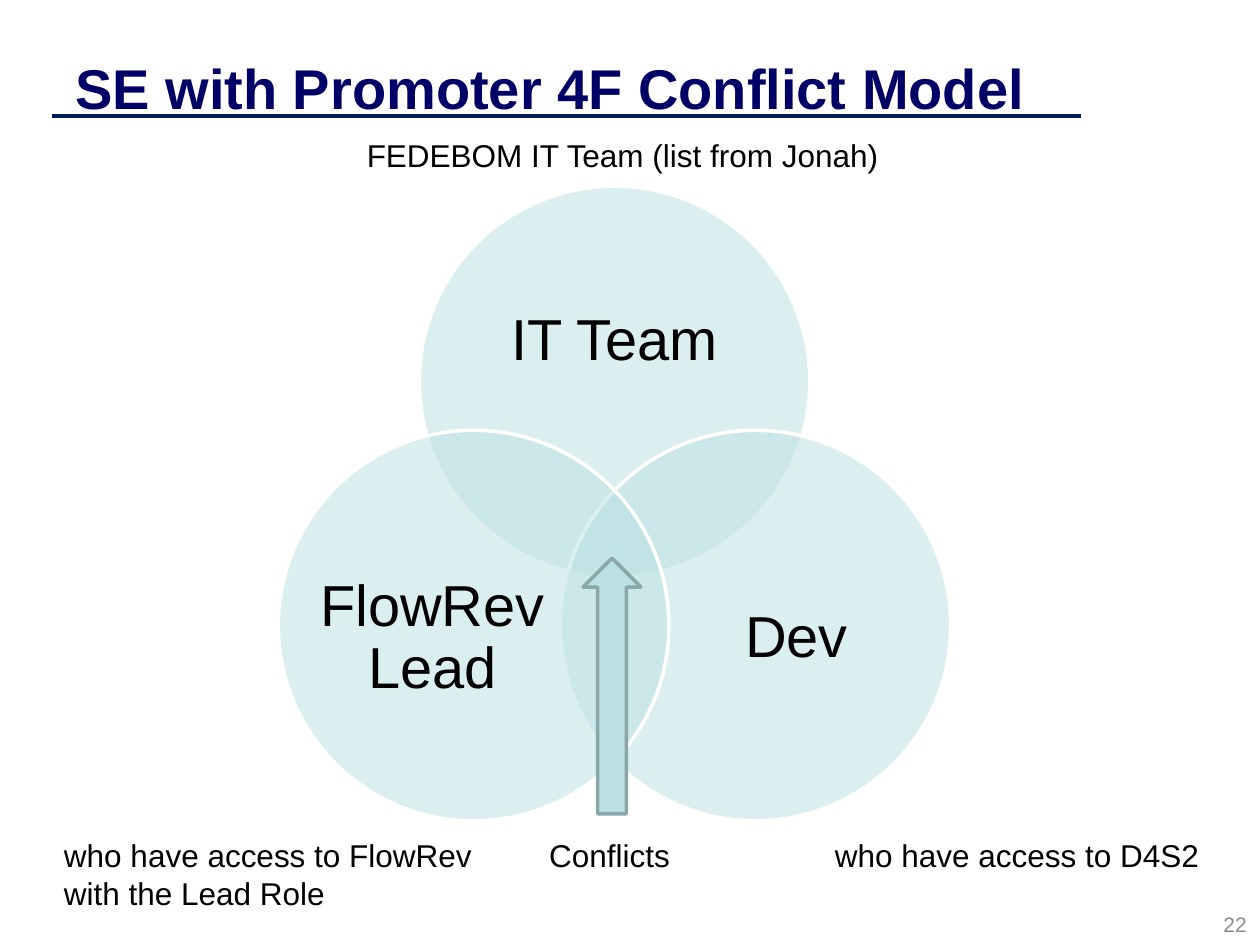
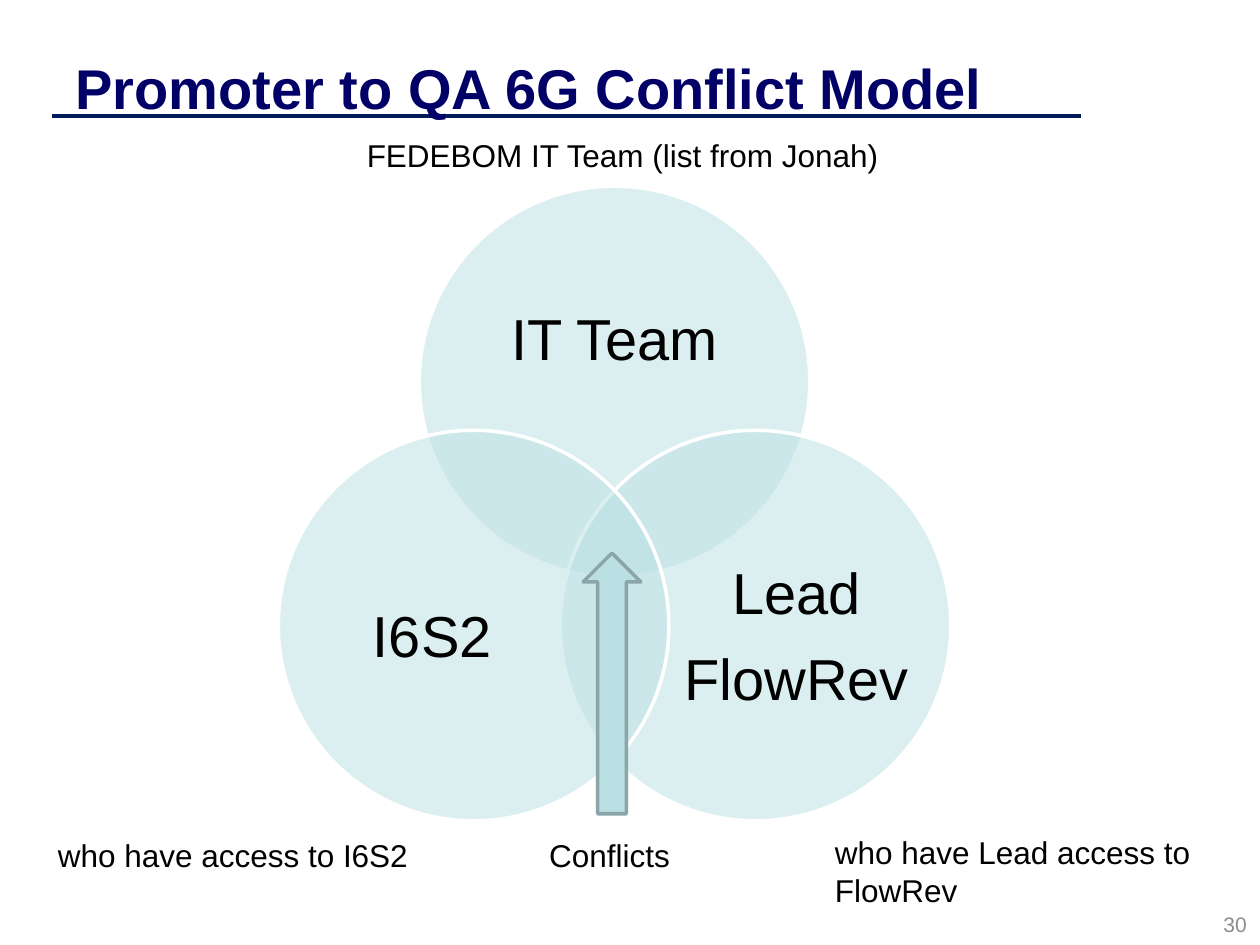
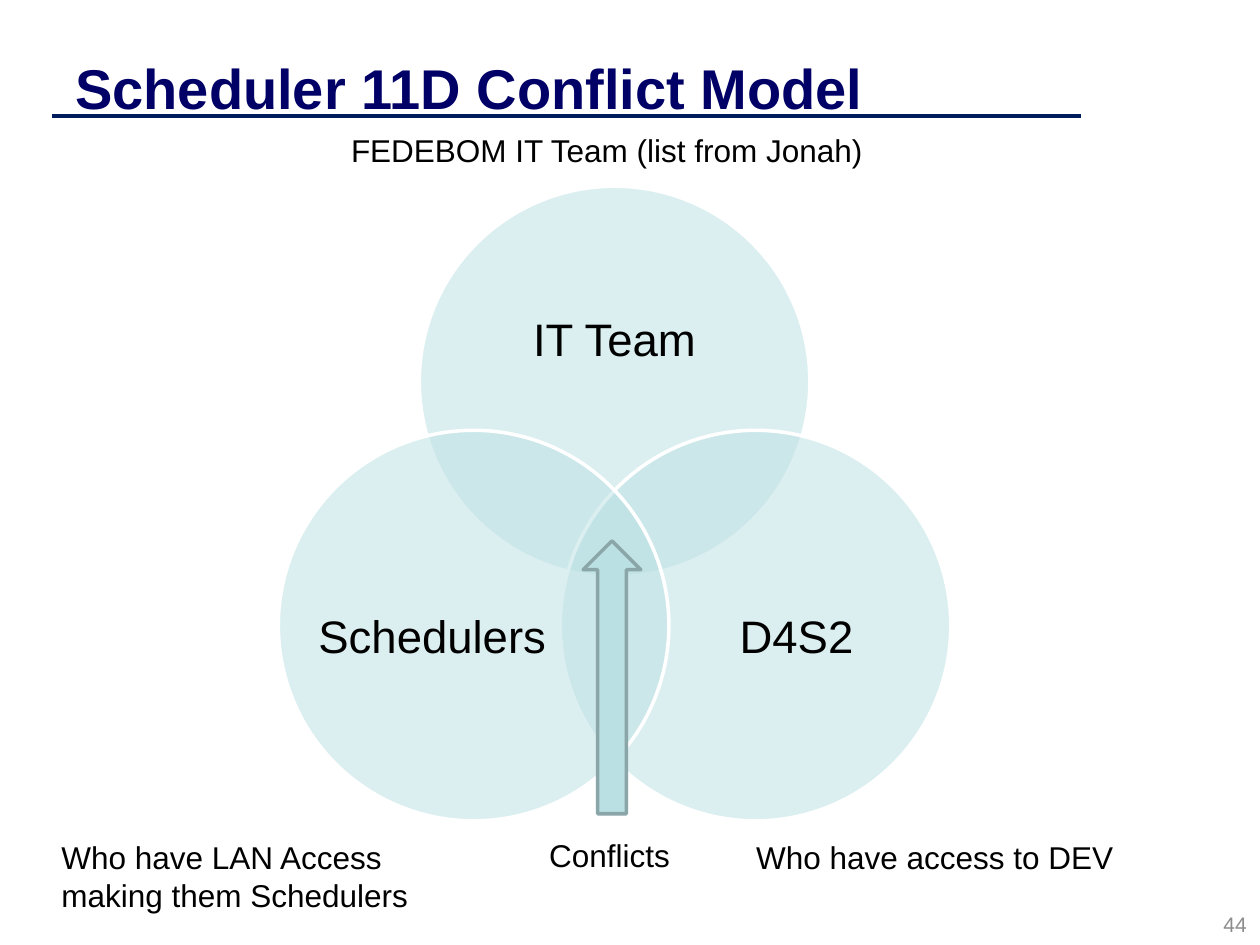
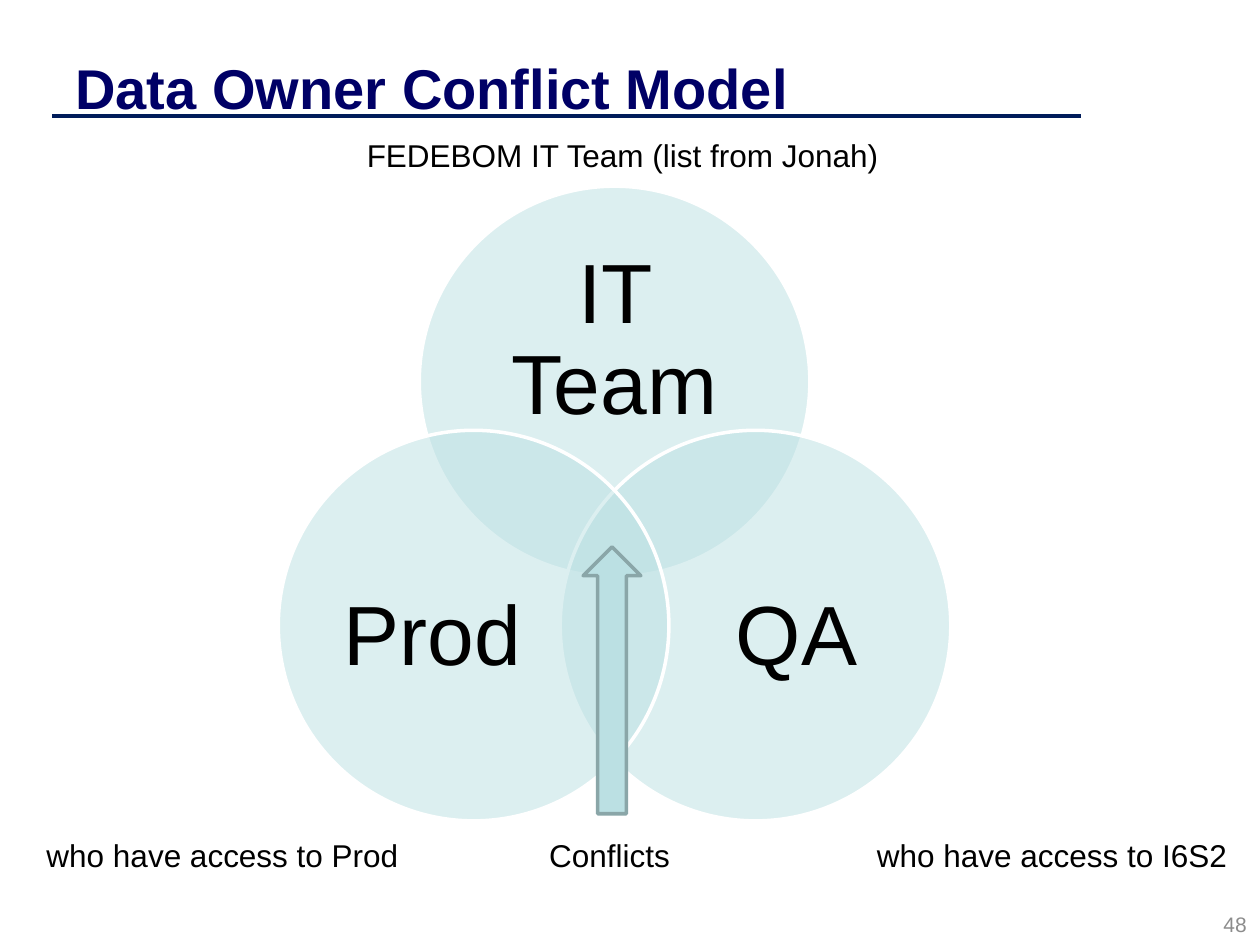
from math import cos, radians, sin

from lxml.etree import SubElement
from pptx import Presentation
from pptx.dml.color import RGBColor
from pptx.enum.shapes import MSO_CONNECTOR, MSO_SHAPE
from pptx.enum.text import MSO_ANCHOR, MSO_AUTO_SIZE, PP_ALIGN
from pptx.oxml.ns import qn
from pptx.util import Pt

FONT = "Arial"
NAVY, RULE, BLACK, GREY = "000066", "001C5A", "000000", "8C8C8C"
AQUA, ARROW_EDGE, WHITE = "BBE0E3", "8AA6A8", "FFFFFF"

VENN_X, VENN_Y, VENN_RADIUS, DIAMETER = 351.2, 311, 93, 223.2
# Angle of each circle, then the offset and size of its label in points
CIRCLES = [
    (-90, (29.8, 38.5, 163.6, 100.8)),
    (30, (68, 57.5, 134, 123)),
    (150, (21, 57.5, 134, 123)),
]
ARROW_BOTTOM = 465
CAPTION_HEIGHTS = {1: 29, 2: 51}

# Labels run top, right, left; captions are (text, left, top, width, lines)
SLIDES = [
    dict(title="SE with Promoter 4F Conflict Model", number="22",
         labels=["IT Team", "Dev", "FlowRev Lead"], size=33, arrow_top=319,
         captions=[
             ("FEDEBOM IT Team (list from Jonah)", 202.5, 74.3, 315, 1),
             ("who have access to D4S2", 470, 474, 284, 1),
             ("who have access to FlowRev with the Lead Role", 29.5, 474, 277, 2)]),
    dict(title="Promoter to QA 6G Conflict Model", number="30",
         labels=["IT Team", "Lead\nFlowRev", "I6S2"], size=33, arrow_top=316,
         captions=[
             ("FEDEBOM IT Team (list from Jonah)", 202.5, 74.3, 315, 1),
             ("who have Lead access to FlowRev", 470, 472.3, 284, 2),
             ("who have access to I6S2", 26, 474, 277, 1)]),
    dict(title="Scheduler 11D Conflict Model", number="44",
         labels=["IT Team", "D4S2", "Schedulers"], size=26, arrow_top=309,
         captions=[
             ("FEDEBOM IT Team (list from Jonah)", 193.5, 71.3, 315, 1),
             ("Who have access to DEV", 425, 475.3, 277, 1),
             ("Who have LAN Access making them Schedulers", 28, 475.3, 245.5, 2)]),
    dict(title="Data Owner Conflict Model", number="48",
         labels=["IT Team", "QA", "Prod"], size=48, arrow_top=312.5,
         captions=[
             ("FEDEBOM IT Team (list from Jonah)", 202.5, 74.3, 315, 1),
             ("who have access to I6S2", 494, 474, 284, 1),
             ("who have access to Prod", 19.5, 474, 277, 1)]),
]


def rgb(color):
    return RGBColor.from_string(color)


def add_text(shapes, text, box, size, color=BLACK, bold=False,
             align=PP_ALIGN.LEFT, anchor=MSO_ANCHOR.MIDDLE):
    sp = shapes.add_textbox(*map(Pt, box))
    tf = sp.text_frame
    tf.word_wrap = True
    tf.vertical_anchor = anchor
    tf.text = text
    for p in tf.paragraphs:
        p.alignment = align
        p.font.name = FONT
        p.font.size = Pt(size)
        p.font.bold = bold
        p.font.color.rgb = rgb(color)
    return tf


def add_caption(shapes, text, left, top, width, lines):
    tf = add_text(shapes, text, (left, top, width, CAPTION_HEIGHTS[lines]), 18,
                  anchor=MSO_ANCHOR.TOP)
    tf.auto_size = MSO_AUTO_SIZE.SHAPE_TO_FIT_TEXT


def add_filled(shapes, kind, box, line):
    sp = shapes.add_shape(kind, *map(Pt, box))
    sp.shadow.inherit = False
    sp.fill.solid()
    sp.fill.fore_color.rgb = rgb(AQUA)
    sp.line.color.rgb = rgb(line)
    sp.line.width = Pt(2)
    return sp


def make_translucent(sp, percent):
    color = sp._element.spPr.find(qn("a:solidFill"))[0]
    SubElement(color, qn("a:alpha"), val=str(percent * 1000))


def add_label(shapes, text, box, size):
    tf = add_text(shapes, text, box, size, align=PP_ALIGN.CENTER)
    tf.margin_left = tf.margin_right = tf.margin_top = tf.margin_bottom = 0
    for p in tf.paragraphs:
        p.line_spacing = 0.9
        p.space_after = Pt(round(0.4 * size, 1))


def add_venn(s, labels, size):
    shapes = s.shapes.add_group_shape().shapes
    for (angle, (dx, dy, width, height)), label in zip(CIRCLES, labels):
        left = VENN_X + VENN_RADIUS * cos(radians(angle)) - DIAMETER / 2
        top = VENN_Y + VENN_RADIUS * sin(radians(angle)) - DIAMETER / 2
        circle = add_filled(shapes, MSO_SHAPE.OVAL,
                            (left, top, DIAMETER, DIAMETER), WHITE)
        make_translucent(circle, 50)
        add_label(shapes, label, (left + dx, top + dy, width, height), size)


def add_frame(s, title, number):
    """Draw the rule, title and slide number found on every slide."""
    rule = s.shapes.add_connector(MSO_CONNECTOR.STRAIGHT,
                                  Pt(30), Pt(66.2), Pt(618), Pt(66.2))
    rule.line.color.rgb = rgb(RULE)
    rule.line.width = Pt(2)
    SubElement(rule._element.spPr, qn("a:effectLst"))
    add_text(s.shapes, title, (36, 21.6, 576, 56), 32, NAVY, bold=True)
    add_text(s.shapes, number, (551.5, 515.7, 168, 24.5), 12, GREY,
             align=PP_ALIGN.RIGHT)


def add_conflict_arrow(s, top):
    arrow = add_filled(s.shapes, MSO_SHAPE.DOWN_ARROW,
                       (333.2, top, 33, ARROW_BOTTOM - top), ARROW_EDGE)
    arrow.rotation = 180
    add_caption(s.shapes, "Conflicts", 306.7, 474, 85, 1)


def main():
    prs = Presentation()
    prs.slide_width, prs.slide_height = Pt(720), Pt(540)
    for content in SLIDES:
        s = prs.slides.add_slide(prs.slide_layouts[6])
        add_frame(s, content["title"], content["number"])
        add_venn(s, content["labels"], content["size"])
        add_conflict_arrow(s, content["arrow_top"])
        for caption in content["captions"]:
            add_caption(s.shapes, *caption)
    prs.save("out.pptx")


if __name__ == "__main__":
    main()
